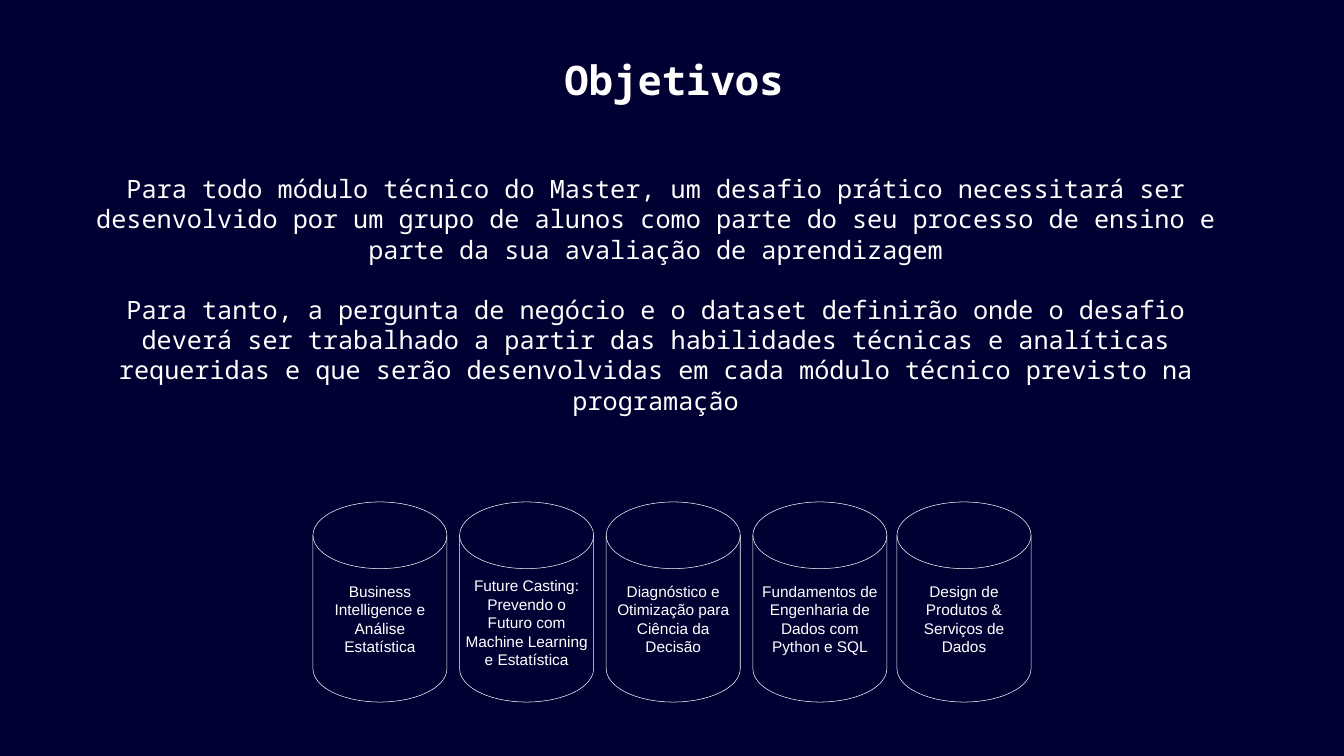
"""Build the "Objetivos" slide: two paragraphs above a row of five module disks."""
from pptx import Presentation
from pptx.dml.color import RGBColor
from pptx.enum.shapes import MSO_SHAPE
from pptx.enum.text import MSO_ANCHOR, PP_ALIGN
from pptx.util import Emu, Pt

PX = 9144
NAVY, WHITE = "000033", "FFFFFF"
MONO, SANS = "Noto Sans Mono", "Arial"
DISK = MSO_SHAPE.FLOWCHART_MAGNETIC_DISK
TOP, MIDDLE = MSO_ANCHOR.TOP, MSO_ANCHOR.MIDDLE
CENTER = PP_ALIGN.CENTER


def rgb(value):
    return RGBColor.from_string(value)


def write(sp, paragraphs, anchor, font, gap=0, inset_top=10):
    tf = sp.text_frame
    frame = {"word_wrap": True, "vertical_anchor": anchor,
             "margin_left": 10 * PX, "margin_right": 10 * PX,
             "margin_top": inset_top * PX, "margin_bottom": 10 * PX}
    for name, value in frame.items():
        setattr(tf, name, value)
    for i, text in enumerate(paragraphs):
        p = tf.add_paragraph() if i else tf.paragraphs[0]
        p.alignment = CENTER
        if i:
            p.space_before = Pt(gap)
        r = p.add_run()
        r.text = text
        for name, value in font.items():
            setattr(r.font, name, value)
        r.font.color.rgb = rgb(WHITE)


prs = Presentation()
prs.slide_width, prs.slide_height = Emu(2667 * PX), Emu(1500 * PX)
s = prs.slides.add_slide(prs.slide_layouts[6])
s.background.fill.solid()
s.background.fill.fore_color.rgb = rgb(NAVY)

texts = [
    ((434, 98, 1807, 118), ["Objetivos"],
     {"name": MONO, "size": Pt(58), "bold": True}),
    ((156, 334, 2290, 626), [
        "Para todo módulo técnico do Master, um desafio prático necessitará ser "
        "desenvolvido por um grupo de alunos como parte do seu processo de ensino "
        "e parte da sua avaliação de aprendizagem",
        "Para tanto, a pergunta de negócio e o dataset definirão onde o desafio "
        "deverá ser trabalhado a partir das habilidades técnicas e analíticas "
        "requeridas e que serão desenvolvidas em cada módulo técnico previsto na "
        "programação",
    ], {"name": MONO, "size": Pt(36)}),
]
for box, paragraphs, font in texts:
    sp = s.shapes.add_textbox(*(Emu(v * PX) for v in box))
    write(sp, paragraphs, TOP, font, gap=43)

modules = [
    (621, "Business Intelligence e Análise Estatística", 10),
    (912, "Future Casting: Prevendo o Futuro com Machine Learning e Estatística", 26),
    (1203, "Diagnóstico e Otimização para Ciência da Decisão", 10),
    (1494, "Fundamentos de Engenharia de Dados com Python e SQL", 10),
    (1780, "Design de Produtos & Serviços de Dados", 10),
]
for left, text, inset_top in modules:
    sp = s.shapes.add_shape(DISK, *(Emu(v * PX) for v in (left, 996, 266, 397)))
    sp.shadow.inherit = False
    sp.fill.solid()
    sp.fill.fore_color.rgb = rgb(NAVY)
    sp.line.color.rgb = rgb(WHITE)
    sp.line.width = Pt(0.75)
    write(sp, [text], MIDDLE, {"name": SANS, "size": Pt(22)}, inset_top=inset_top)

prs.save("out.pptx")
